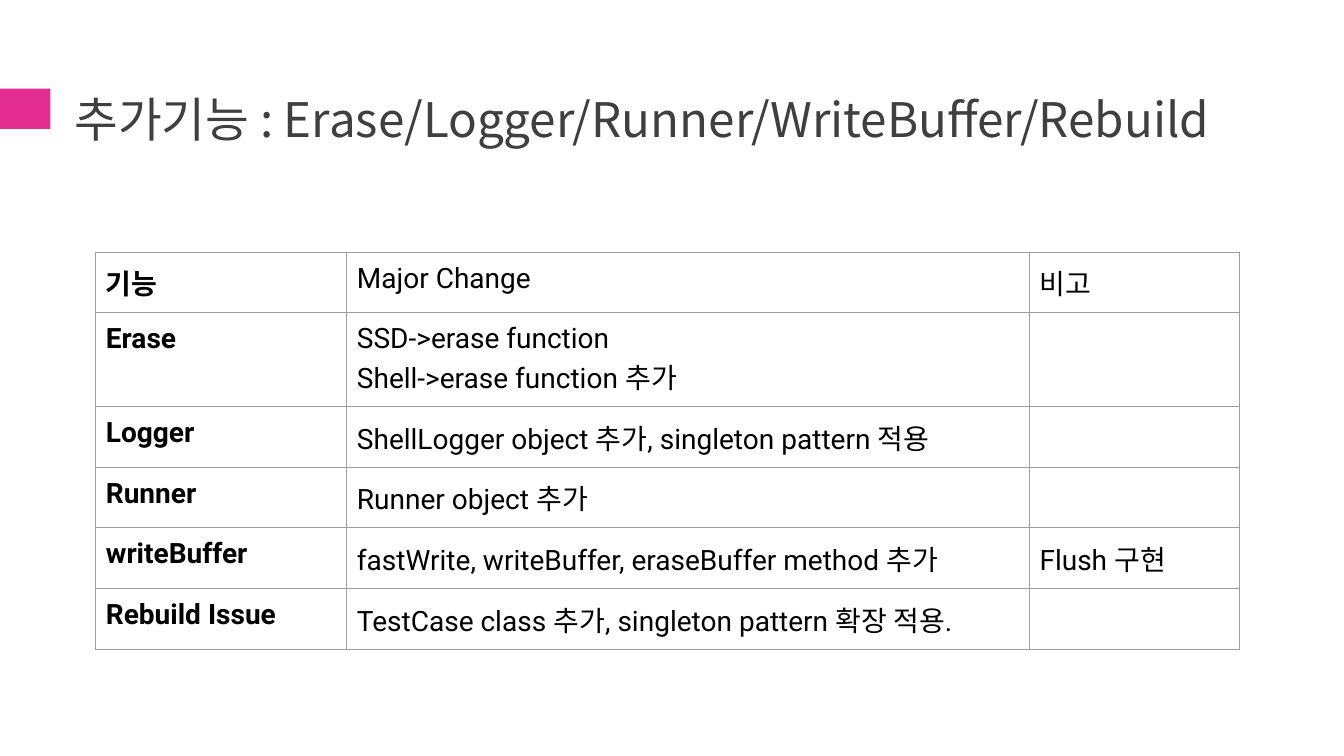
"""Build the slide that lists the added features in a table."""
from dataclasses import dataclass

from lxml import etree
from pptx import Presentation
from pptx import util as u
from pptx.dml import color
from pptx.enum import shapes, text
from pptx.oxml import ns


@dataclass(frozen=True)
class Theme:
    accent: str = "E32D91"
    title: str = "3F3F3F"
    body: str = "000000"
    border: str = "9E9E9E"
    title_font: str = "Noto Sans CJK KR"
    body_font: str = "Roboto"
    korean_font: str = "Noto Sans CJK KR"
    title_size: float = 34
    body_size: float = 20
    border_width: float = 0.75


@dataclass(frozen=True)
class Box:
    """A frame in percent of the slide's width and height."""
    left: float
    top: float
    width: float
    height: float


@dataclass(frozen=True)
class Feature:
    name: str
    change: str
    note: str = ""


THEME = Theme()
WIDTH, HEIGHT = u.Inches(13.33), u.Inches(7.5)
MARKER = Box(0, 11.73, 3.75, 5.33)
TITLE = Box(4.8, 10.27, 90.47, 10.8)
COLUMNS = (18.68, 50.79, 15.6)
LINE_ROW, EXTRA_LINE = 8.03, 4.37
CELL_MARGIN = u.Inches(0.1)
FEATURES = (
    Feature("기능", "Major Change", "비고"),
    Feature("Erase", "SSD->erase function\nShell->erase function 추가"),
    Feature("Logger", "ShellLogger object 추가, singleton pattern 적용"),
    Feature("Runner", "Runner object 추가"),
    Feature("writeBuffer", "fastWrite, writeBuffer, eraseBuffer method 추가", "Flush 구현"),
    Feature("Rebuild Issue", "TestCase class 추가, singleton pattern 확장 적용."),
)


def across(share: float) -> int:
    return round(WIDTH * share / 100)


def down(share: float) -> int:
    return round(HEIGHT * share / 100)


def frame(box: Box) -> tuple[int, int, int, int]:
    return across(box.left), down(box.top), across(box.width), down(box.height)


def row_share(feature: Feature) -> float:
    return LINE_ROW + EXTRA_LINE * feature.change.count("\n")


def write(tf, content: str, font: str, size: float, ink: str, bold: bool = False) -> None:
    tf.text = content
    for p in tf.paragraphs:
        for r in p.runs:
            r.font.name, r.font.size, r.font.bold = font, u.Pt(size), bold
            r.font.color.rgb = color.RGBColor.from_string(ink)
            ea = etree.SubElement(r.font._element, ns.qn("a:ea"))
            ea.set("typeface", THEME.korean_font)


def add_borders(cell) -> None:
    props = cell._tc.get_or_add_tcPr()
    for i, side in enumerate(("lnL", "lnR", "lnT", "lnB")):
        line = etree.Element(ns.qn(f"a:{side}"), w=str(u.Pt(THEME.border_width)))
        fill = etree.SubElement(line, ns.qn("a:solidFill"))
        etree.SubElement(fill, ns.qn("a:srgbClr"), val=THEME.border)
        props.insert(i, line)


def add_marker(s) -> None:
    sp = s.shapes.add_shape(shapes.MSO_SHAPE.RECTANGLE, *frame(MARKER))
    sp.shadow.inherit = False
    sp.fill.solid()
    sp.fill.fore_color.rgb = color.RGBColor.from_string(THEME.accent)
    sp.line.fill.background()


def add_title(s, content: str) -> None:
    tf = s.shapes.add_textbox(*frame(TITLE)).text_frame
    tf.word_wrap = True
    tf.vertical_anchor = text.MSO_ANCHOR.MIDDLE
    write(tf, content, THEME.title_font, THEME.title_size, THEME.title)


def add_features(s, features: tuple[Feature, ...]) -> None:
    box = Box(7.13, 33.33, sum(COLUMNS), sum(map(row_share, features)))
    table = s.shapes.add_table(len(features), len(COLUMNS), *frame(box)).table
    table.first_row = table.horz_banding = False
    for column, share in zip(table.columns, COLUMNS):
        column.width = across(share)
    for row, feature in zip(table.rows, features):
        row.height = down(row_share(feature))
        contents = (feature.name, feature.change, feature.note)
        for i, (cell, content) in enumerate(zip(row.cells, contents)):
            cell.margin_left = cell.margin_right = CELL_MARGIN
            cell.margin_top = cell.margin_bottom = CELL_MARGIN
            cell.fill.background()
            add_borders(cell)
            write(cell.text_frame, content, THEME.body_font, THEME.body_size,
                  THEME.body, bold=i == 0)


def main() -> None:
    prs = Presentation()
    prs.slide_width, prs.slide_height = WIDTH, HEIGHT
    s = prs.slides.add_slide(prs.slide_layouts[6])
    add_marker(s)
    add_title(s, "추가기능 : Erase/Logger/Runner/WriteBuffer/Rebuild")
    add_features(s, FEATURES)
    prs.save("out.pptx")


if __name__ == "__main__":
    main()
